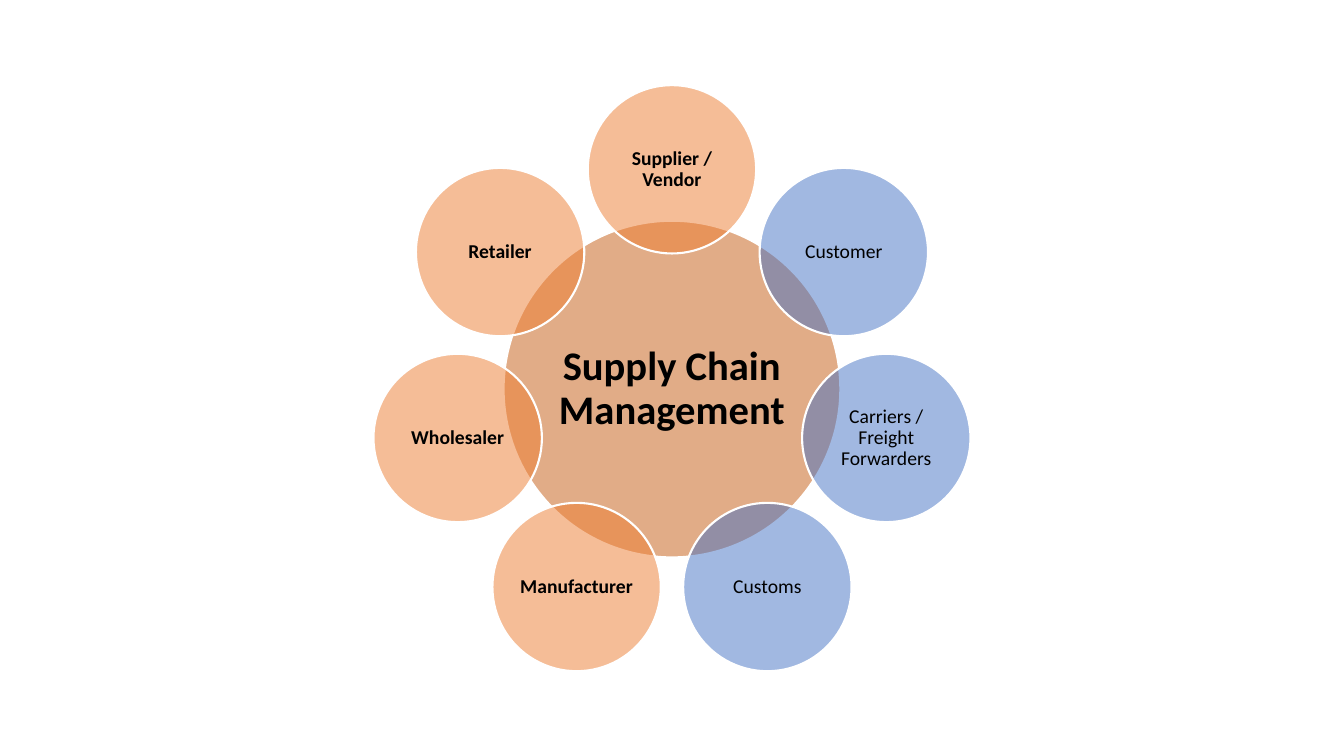
"""Builds a slide with a supply chain hub ringed by its seven parties."""
import dataclasses
import math

import lxml.etree
import pptx
import pptx.dml.color
import pptx.enum.shapes
import pptx.enum.text
import pptx.oxml.ns
import pptx.presentation
import pptx.slide
import pptx.util

Inches = pptx.util.Inches

FONT = "Calibri"
ORANGE = "ED7D31"
BLUE = "4472C4"
BROWN = "C55A11"
WHITE = "FFFFFF"
BLACK = "000000"
SLIDE_WIDTH = 13.33
SLIDE_HEIGHT = 7.5
CENTER_X = SLIDE_WIDTH / 2
CENTER_Y = 3.86
RING_RADIUS = 2.18
HUB_DIAMETER = 3.34
PARTY_DIAMETER = 1.67


@dataclasses.dataclass(frozen=True)
class Circle:
    """A labelled translucent circle."""

    label: str
    color: str
    bold: bool = True
    diameter: float = PARTY_DIAMETER
    font_size: int = 14
    inset: float = 0.02


HUB = Circle("Supply Chain Management", BROWN, True, HUB_DIAMETER, 29, 0.04)
PARTIES = (
    Circle("Supplier / Vendor", ORANGE),
    Circle("Customer", BLUE, False),
    Circle("Carriers / Freight Forwarders", BLUE, False),
    Circle("Customs", BLUE, False),
    Circle("Manufacturer", ORANGE),
    Circle("Wholesaler", ORANGE),
    Circle("Retailer", ORANGE),
)


def rgb(color: str) -> pptx.dml.color.RGBColor:
    """Return the colour of a hex string."""
    return pptx.dml.color.RGBColor.from_string(color)


def draw_circle(slide: pptx.slide.Slide, circle: Circle, center_x: float, center_y: float) -> None:
    """Draw one half-transparent circle with its label inside."""
    radius = circle.diameter / 2
    shape = slide.shapes.add_shape(
        pptx.enum.shapes.MSO_SHAPE.OVAL,
        Inches(center_x - radius),
        Inches(center_y - radius),
        Inches(circle.diameter),
        Inches(circle.diameter),
    )
    shape.shadow.inherit = False
    shape.fill.solid()
    shape.fill.fore_color.rgb = rgb(circle.color)
    fill_color = shape.element.spPr.find(".//" + pptx.oxml.ns.qn("a:srgbClr"))
    lxml.etree.SubElement(fill_color, pptx.oxml.ns.qn("a:alpha"), val="50000")
    shape.line.color.rgb = rgb(WHITE)
    shape.line.width = pptx.util.Pt(1.5)

    frame = shape.text_frame
    frame.word_wrap = True
    frame.vertical_anchor = pptx.enum.text.MSO_ANCHOR.MIDDLE
    frame.margin_left = frame.margin_right = Inches(circle.inset)
    frame.margin_top = frame.margin_bottom = Inches(circle.inset)
    paragraph = frame.paragraphs[0]
    paragraph.text = circle.label
    paragraph.alignment = pptx.enum.text.PP_ALIGN.CENTER
    paragraph.line_spacing = 0.9
    paragraph.font.name = FONT
    paragraph.font.size = pptx.util.Pt(circle.font_size)
    paragraph.font.bold = circle.bold
    paragraph.font.color.rgb = rgb(BLACK)


def draw_ring(slide: pptx.slide.Slide) -> None:
    """Draw the parties clockwise from the top at equal angles."""
    for index, party in enumerate(PARTIES):
        angle = math.tau * index / len(PARTIES)
        draw_circle(
            slide,
            party,
            CENTER_X + RING_RADIUS * math.sin(angle),
            CENTER_Y - RING_RADIUS * math.cos(angle),
        )


def build_presentation() -> pptx.presentation.Presentation:
    """Return the presentation with its single slide."""
    presentation = pptx.Presentation()
    presentation.slide_width = Inches(SLIDE_WIDTH)
    presentation.slide_height = Inches(SLIDE_HEIGHT)
    slide = presentation.slides.add_slide(presentation.slide_layouts[6])
    draw_circle(slide, HUB, CENTER_X, CENTER_Y)
    draw_ring(slide)
    return presentation


build_presentation().save("out.pptx")
